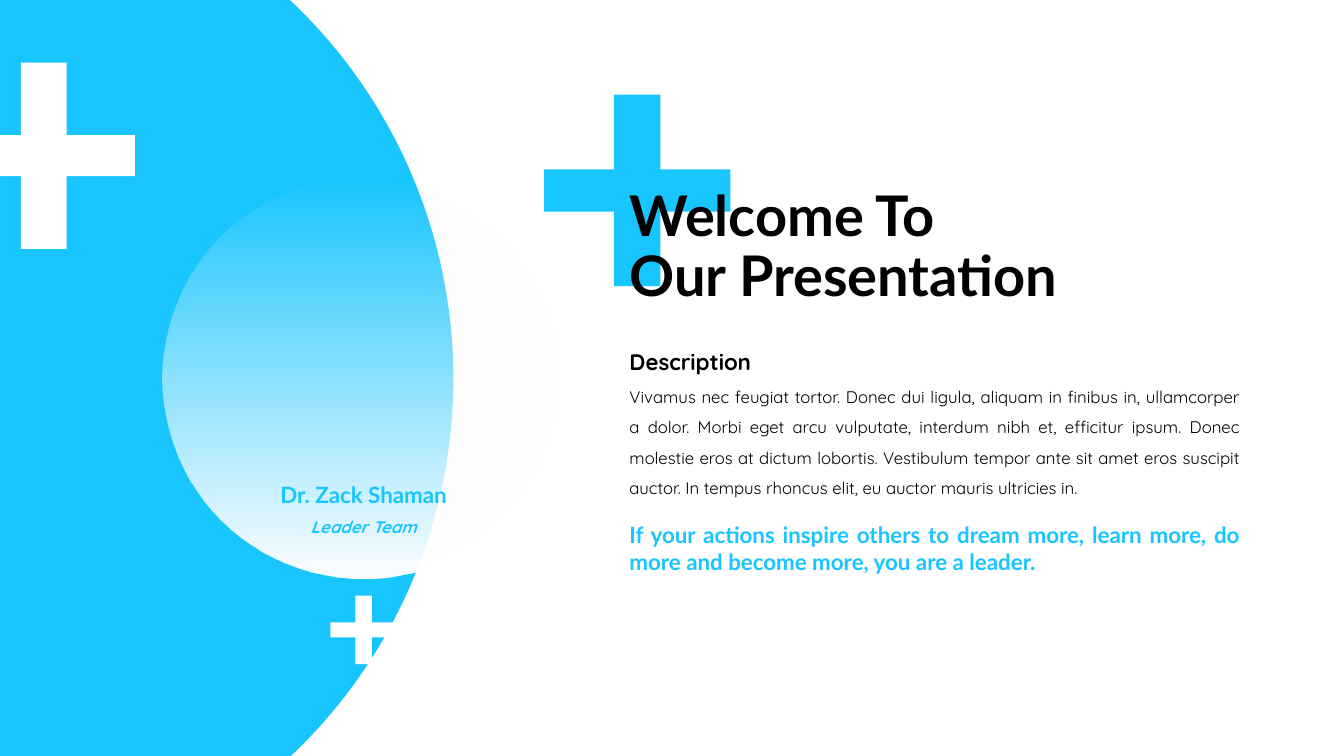
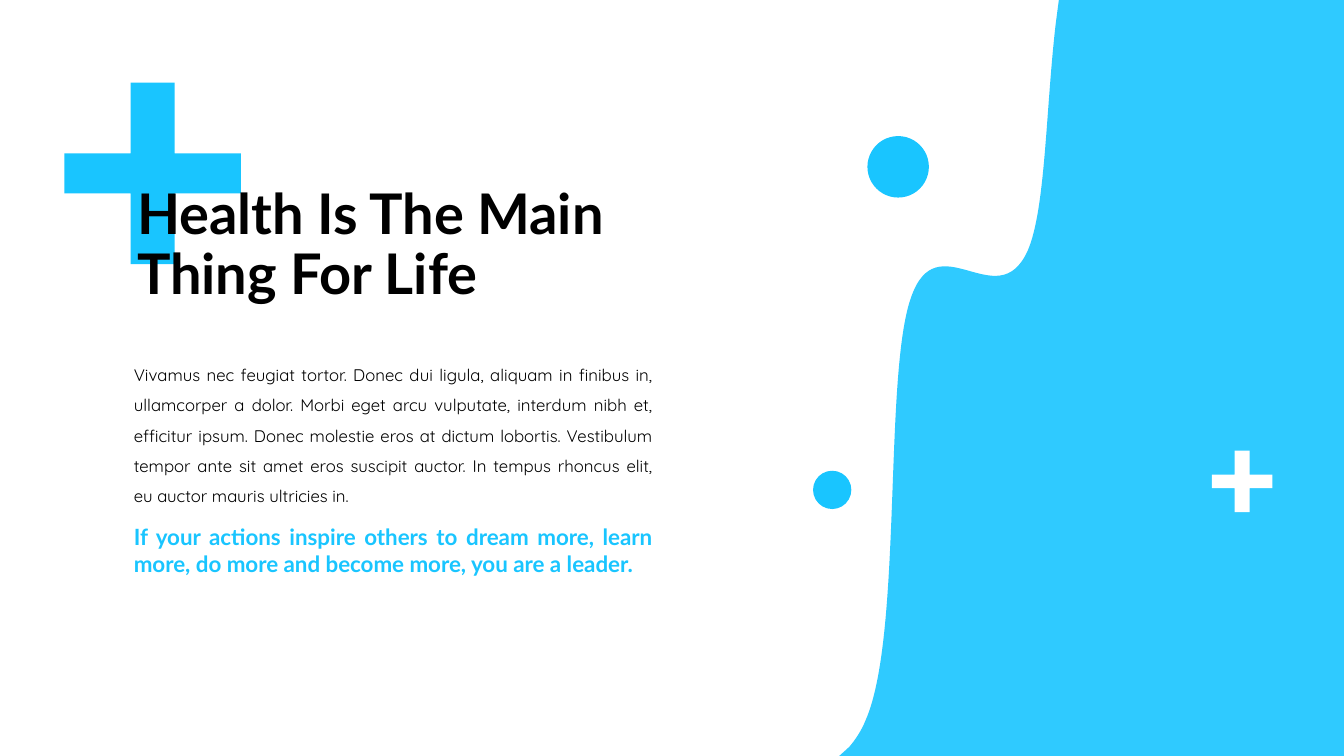
from dataclasses import dataclass

from lxml import etree
from pptx import Presentation
from pptx.dml.color import RGBColor
from pptx.enum.shapes import MSO_SHAPE
from pptx.enum.text import MSO_ANCHOR, MSO_AUTO_SIZE, PP_ALIGN
from pptx.oxml.ns import qn
from pptx.util import Inches, Pt

OVAL = MSO_SHAPE.OVAL
MIDDLE = MSO_ANCHOR.MIDDLE
FIT_SHAPE, NO_FIT = MSO_AUTO_SIZE.SHAPE_TO_FIT_TEXT, MSO_AUTO_SIZE.NONE
LEFT, CENTER, JUSTIFY = PP_ALIGN.LEFT, PP_ALIGN.CENTER, PP_ALIGN.JUSTIFY


@dataclass(frozen=True)
class Theme:
    sky: RGBColor = RGBColor(0x19, 0xC5, 0xFF)
    white: RGBColor = RGBColor(0xFF, 0xFF, 0xFF)
    black: RGBColor = RGBColor(0x00, 0x00, 0x00)
    heading_font: str = "Lato"
    body_font: str = "Quicksand"
    title_size: int = 40
    lead_size: int = 16
    body_size: int = 12
    # Arm thickness of a cross, as a share of its width and height
    upright: float = 0.25
    crossbar: float = 0.22


THEME = Theme()

BODY = (
    "Vivamus nec feugiat tortor. Donec dui ligula, aliquam in finibus in, "
    "ullamcorper a dolor. Morbi eget arcu vulputate, interdum nibh et, "
    "efficitur ipsum. Donec molestie eros at dictum lobortis. Vestibulum "
    "tempor ante sit amet eros suscipit auctor. In tempus rhoncus elit, "
    "eu auctor mauris ultricies in."
)
QUOTE = (
    "If your actions inspire others to dream more, learn more, do more "
    "and become more, you are a leader."
)


def set_alpha(shape, percent):
    """Make the first fill colour of a shape see-through."""
    color = next(shape._element.spPr.iter(qn("a:srgbClr")))
    alpha = etree.SubElement(color, qn("a:alpha"))
    alpha.set("val", str(percent * 1000))


def bend(shape, curves):
    """Turn straight segments into cubic curves: {segment: two controls}."""
    segments = list(shape._element.spPr.iter(qn("a:lnTo")))
    for index, controls in curves.items():
        segment = segments[index]
        segment.tag = qn("a:cubicBezTo")
        for position, (x, y) in enumerate(controls):
            point = etree.Element(qn("a:pt"))
            point.set("x", str(Inches(x) - shape.left))
            point.set("y", str(Inches(y) - shape.top))
            segment.insert(position, point)


class Deck:
    def __init__(self, theme):
        self.theme = theme
        self.prs = Presentation()
        self.prs.slide_width = Inches(13.34)
        self.prs.slide_height = Inches(7.5)
        self.slide = None

    def new_slide(self):
        self.slide = self.prs.slides.add_slide(self.prs.slide_layouts[5])
        background = self.slide.background.fill
        background.solid()
        background.fore_color.rgb = self.theme.white

    def _paint(self, shape, color):
        shape.shadow.inherit = False
        shape.fill.solid()
        shape.fill.fore_color.rgb = color
        shape.line.fill.background()
        return shape

    def circle(self, left, top, size, color):
        box = [Inches(v) for v in (left, top, size, size)]
        oval = self.slide.shapes.add_shape(OVAL, *box)
        return self._paint(oval, color)

    def fading_circle(self, left, top, size):
        """White circle, clear at the top and solid at the bottom."""
        oval = self.circle(left, top, size, self.theme.white)
        oval.fill.gradient()
        oval.fill.gradient_angle = 270
        for stop in oval.fill.gradient_stops:
            stop.color.rgb = self.theme.white
        set_alpha(oval, 0)

    def outline(self, points, color):
        corners = [(Inches(x), Inches(y)) for x, y in points]
        builder = self.slide.shapes.build_freeform(*corners[0], scale=1.0)
        builder.add_line_segments(corners[1:], close=True)
        return self._paint(builder.convert_to_shape(), color)

    def cross(self, left, top, width, height, color):
        side = width * (1 - self.theme.upright) / 2
        rise = height * (1 - self.theme.crossbar) / 2
        x1, x2, x3, x4 = left, left + side, left + width - side, left + width
        y1, y2, y3, y4 = top, top + rise, top + height - rise, top + height
        self.outline([
            (x2, y1), (x3, y1), (x3, y2), (x4, y2), (x4, y3), (x3, y3),
            (x3, y4), (x2, y4), (x2, y3), (x1, y3), (x1, y2), (x2, y2),
        ], color)

    def _format(self, paragraph, font_name, size, color, align, spacing,
                bold=True, italic=False):
        paragraph.alignment = align
        paragraph.line_spacing = spacing
        for run in paragraph.runs:
            font = run.font
            font.name, font.size = font_name, Pt(size)
            font.bold, font.italic = bold, italic
            font.color.rgb = color

    def title(self, text, left, top, width, height):
        title = self.slide.shapes.title
        title.left, title.top = Inches(left), Inches(top)
        title.width, title.height = Inches(width), Inches(height)
        frame = title.text_frame
        frame.text = text
        frame.word_wrap = True
        frame.auto_size = NO_FIT
        frame.vertical_anchor = MIDDLE
        self._format(frame.paragraphs[0], self.theme.heading_font,
                     self.theme.title_size, self.theme.black, LEFT, 0.9)
        # Bring the title in front of the cross
        self.slide.shapes._spTree.append(title._element)

    def text(self, text, box, font_name, size, color, align=JUSTIFY,
             spacing=1.5, **style):
        frame = self.slide.shapes.add_textbox(
            *(Inches(v) for v in box)).text_frame
        frame.word_wrap = True
        frame.auto_size = FIT_SHAPE
        frame.text = text
        self._format(frame.paragraphs[0], font_name, size, color, align,
                     spacing, **style)

    def body(self, text, box):
        self.text(text, box, self.theme.body_font, self.theme.body_size,
                  self.theme.black, bold=False)

    def quote(self, text, box):
        self.text(text, box, self.theme.heading_font, self.theme.lead_size,
                  self.theme.sky, spacing=1.0)


def welcome_slide(deck):
    theme = deck.theme
    deck.new_slide()

    # Large disc and cross behind the title
    deck.circle(-5.81, -1.4, 10.31, theme.sky)
    deck.cross(5.4, 0.94, 1.85, 1.9, theme.sky)

    # Welcome text
    column, width = 6.15, 6.26
    deck.body(BODY, (column, 3.69, width, 1.3))
    deck.quote(QUOTE, (column, 5.12, width, 0.64))
    deck.text("Description", (column, 3.27, 2.96, 0.5), theme.body_font,
              theme.lead_size, theme.black)
    deck.cross(-0.47, 0.62, 1.81, 1.85, theme.white)
    deck.title("Welcome To \vOur Presentation", column, 1.74, 4.86, 1.45)

    # Leader
    deck.fading_circle(1.61, 1.76, 3.98)
    deck.text("Dr. Zack Shaman", (2.33, 4.59, 2.56, 0.5), theme.heading_font,
              theme.lead_size, theme.sky, CENTER)
    deck.text("Leader Team", (2.33, 4.98, 2.56, 0.4), theme.body_font,
              theme.body_size, theme.sky, CENTER, italic=True)
    deck.cross(3.28, 5.91, 0.66, 0.68, theme.white)


def health_slide(deck):
    theme = deck.theme
    deck.new_slide()

    # Wave along the right side
    wave = deck.outline([
        (10.51, 0), (13.34, 0), (13.34, 7.5), (8.33, 7.5), (8.43, 7.41),
        (8.59, 7.15), (9.04, 2.96), (10.2, 2.49), (10.48, 0.23),
    ], theme.sky)
    bend(wave, {
        4: ((8.49, 7.34), (8.55, 7.25)),
        5: ((8.96, 6.32), (8.77, 3.74)),
        6: ((9.3, 2.19), (9.9, 3.15)),
        7: ((10.38, 2.08), (10.38, 1.08)),
    })
    set_alpha(wave, 90)
    deck.cross(0.64, 0.82, 1.75, 1.8, theme.sky)

    # Health text
    column, width = 1.23, 5.35
    deck.body(BODY, (column, 3.47, width, 1.6))
    deck.quote(QUOTE, (column, 5.14, width, 0.64))

    # Dots and small cross
    deck.circle(8.07, 4.67, 0.38, theme.sky)
    deck.circle(8.61, 1.35, 0.61, theme.sky)
    deck.cross(12.03, 4.47, 0.6, 0.61, theme.white)
    deck.title("Health Is The Main Thing For Life", 1.26, 1.72, 5.09, 1.45)


def main():
    deck = Deck(THEME)
    welcome_slide(deck)
    health_slide(deck)
    deck.prs.save("out.pptx")


if __name__ == "__main__":
    main()
